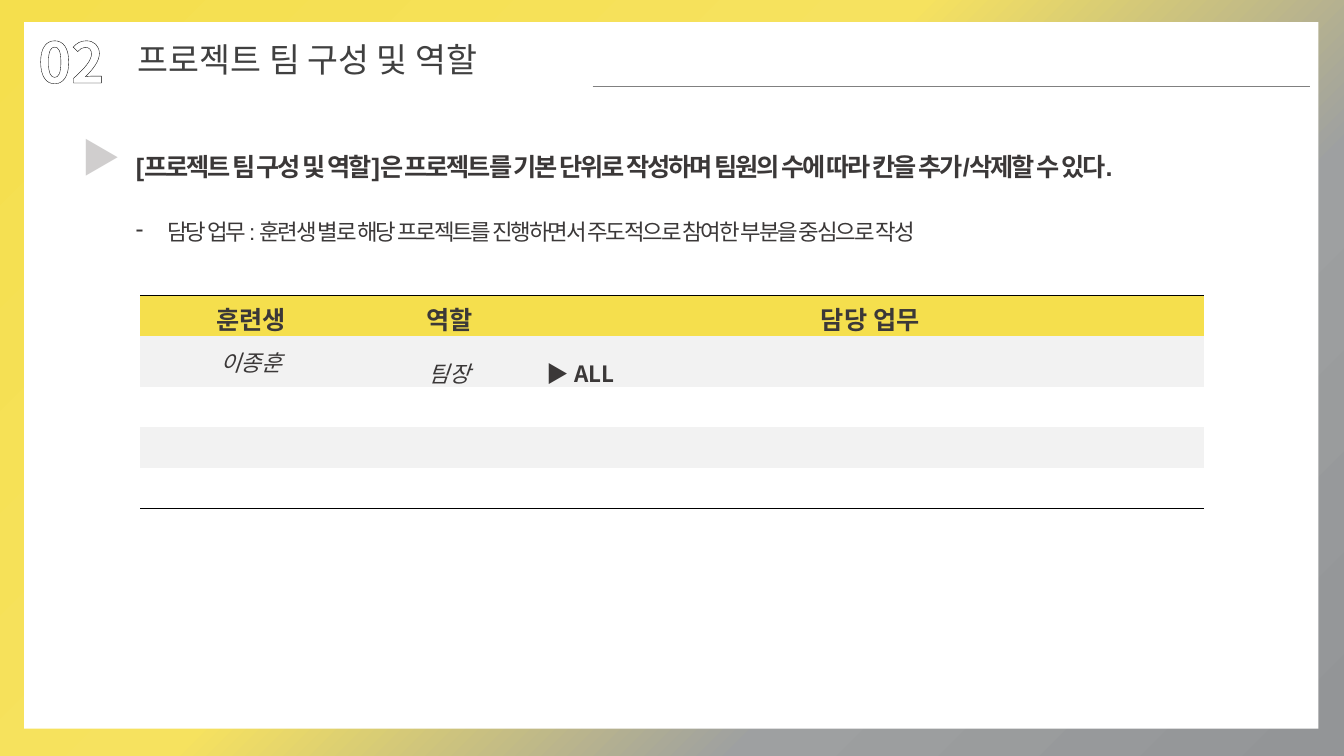
"""Build the project team and roles slide."""
import pptx
import pptx.dml.color
import pptx.enum.dml
import pptx.enum.shapes
import pptx.enum.text
import pptx.oxml
import pptx.oxml.ns
import pptx.util
import lxml.etree

Pt = pptx.util.Pt
RGBColor = pptx.dml.color.RGBColor
qn = pptx.oxml.ns.qn
ALIGN = pptx.enum.text.PP_ALIGN
NAMESPACE = pptx.oxml.ns.nsdecls("a")

YELLOW = RGBColor(0xF5, 0xDF, 0x4D)
LIGHT_YELLOW = RGBColor(0xF6, 0xE2, 0x5F)
LIGHT_GRAY = RGBColor(0x9E, 0xA0, 0xA1)
GRAY = RGBColor(0x93, 0x95, 0x97)
WHITE = RGBColor(0xFF, 0xFF, 0xFF)
BLACK = RGBColor(0x00, 0x00, 0x00)
INK = RGBColor(0x3B, 0x38, 0x38)
TITLE_INK = RGBColor(0x40, 0x40, 0x40)
RULE_GRAY = RGBColor(0x80, 0x80, 0x80)
MARKER_GRAY = RGBColor(0xD0, 0xCE, 0xCE)
BAND_GRAY = RGBColor(0xF2, 0xF2, 0xF2)
NOTO = "Noto Sans CJK KR"


def set_font(font, name, size, color, bold=False, italic=False):
    font.name = name
    font.size = Pt(size)
    font.bold = bold
    font.italic = italic
    font.fill.solid()
    font.fill.fore_color.rgb = color


def add_text(left, top, width, height, text, name, size, color, bold=False, wrap=True):
    box = slide.shapes.add_textbox(Pt(left), Pt(top), Pt(width), Pt(height))
    box.text_frame.word_wrap = wrap
    box.text_frame.auto_size = pptx.enum.text.MSO_AUTO_SIZE.SHAPE_TO_FIT_TEXT
    paragraph = box.text_frame.paragraphs[0]
    paragraph.text = text
    set_font(paragraph.font, name, size, color, bold)
    return paragraph


presentation = pptx.Presentation()
presentation.slide_width = Pt(960)
presentation.slide_height = Pt(540)
slide = presentation.slides.add_slide(presentation.slide_layouts[6])

background = slide.background.fill
background.gradient()
gradient = slide.background._cSld.find(".//" + qn("a:gradFill"))
for child in list(gradient):
    gradient.remove(child)
stops = lxml.etree.SubElement(gradient, qn("a:gsLst"))
for position, color in ((0, YELLOW), (44, LIGHT_YELLOW), (71, LIGHT_GRAY), (100, GRAY)):
    stop = lxml.etree.SubElement(stops, qn("a:gs"), pos=str(position * 1000))
    lxml.etree.SubElement(stop, qn("a:srgbClr"), val=str(color))
lxml.etree.SubElement(gradient, qn("a:lin"), ang="2700000", scaled="0")

panel = slide.shapes.add_shape(
    pptx.enum.shapes.MSO_SHAPE.RECTANGLE, Pt(17.3), Pt(15.8), Pt(924.5), Pt(504.7))
panel.shadow.inherit = False
panel.fill.solid()
panel.fill.fore_color.rgb = WHITE
panel.line.fill.background()

number = add_text(20.2, 15.8, 91.4, 55.4, "02", NOTO, 40, INK, bold=True)
marker = add_text(51.1, 91.4, 39.6, 41, "▶", NOTO, 28, MARKER_GRAY, bold=True)
for paragraph, front, back in ((number, INK, WHITE), (marker, GRAY, MARKER_GRAY)):
    fill = paragraph.runs[0].font.fill
    fill.patterned()
    fill.pattern = pptx.enum.dml.MSO_PATTERN.DARK_UPWARD_DIAGONAL
    fill.fore_color.rgb = front
    fill.back_color.rgb = back
outline = pptx.oxml.parse_xml(
    f'<a:ln {NAMESPACE} w="15875"><a:solidFill><a:srgbClr val="{BLACK}"/></a:solidFill></a:ln>')
number.runs[0].font._element.insert(0, outline)

rule = slide.shapes.add_connector(
    pptx.enum.shapes.MSO_CONNECTOR.STRAIGHT, Pt(423.4), Pt(61.9), Pt(936), Pt(61.9))
rule.line.color.rgb = RULE_GRAY
rule.line.width = Pt(1)
lxml.etree.SubElement(rule._element.spPr, qn("a:effectLst"))

add_text(91.4, 24.5, 305.3, 36, "프로젝트 팀 구성 및 역할", NOTO, 24, TITLE_INK, wrap=False)

guideline = add_text(
    90, 93.6, 803.5, 40.3,
    "[프로젝트 팀 구성 및 역할]은 프로젝트를 기본 단위로 작성하며 팀원의 수에 따라 칸을 추가/삭제할 수 있다.",
    "Arial", 18, INK, bold=True)
guideline.line_spacing = 1.5
duty_note = add_text(
    90, 152.6, 708.5, 26.6,
    "담당 업무 : 훈련생 별로 해당 프로젝트를 진행하면서 주도적으로 참여한 부분을 중심으로 작성",
    "Arial", 16, INK)
for paragraph in (guideline, duty_note):
    paragraph.font._element.set("spc", "-150")
bullet_properties = duty_note._p.get_or_add_pPr()
bullet_properties.set("marL", str(Pt(22.5)))
bullet_properties.set("indent", str(-Pt(22.5)))
bullet_properties.insert(0, pptx.oxml.parse_xml(f'<a:buChar {NAMESPACE} char="-"/>'))

COLUMN_WIDTHS = (158.6, 124.9, 476.2)
ROW_HEIGHTS = (28.5, 36.5, 29, 29, 28.5)
ROW_FILLS = (YELLOW, BAND_GRAY, WHITE, BAND_GRAY, WHITE)
EDGE_TAGS = {0: "a:lnT", 4: "a:lnB"}
CELL_TEXTS = (("훈련생", "역할", "담당 업무"), ("이종훈", "팀장", "▶ ALL"))

table = slide.shapes.add_table(
    5, 3, Pt(100), Pt(211), Pt(sum(COLUMN_WIDTHS)), Pt(sum(ROW_HEIGHTS))).table
for column, width in zip(table.columns, COLUMN_WIDTHS):
    column.width = Pt(width)
for row_index, row in enumerate(table.rows):
    row.height = Pt(ROW_HEIGHTS[row_index])
    for cell in row.cells:
        cell.vertical_anchor = pptx.enum.text.MSO_ANCHOR.MIDDLE
        cell.fill.solid()
        cell.fill.fore_color.rgb = ROW_FILLS[row_index]
        properties = cell._tc.get_or_add_tcPr()
        for position, tag in enumerate(("a:lnL", "a:lnR", "a:lnT", "a:lnB")):
            border = lxml.etree.Element(qn(tag), w=str(Pt(0.75)))
            if tag == EDGE_TAGS.get(row_index):
                solid = lxml.etree.SubElement(border, qn("a:solidFill"))
                lxml.etree.SubElement(solid, qn("a:srgbClr"), val=str(BLACK))
            else:
                lxml.etree.SubElement(border, qn("a:noFill"))
            properties.insert(position, border)

for row_index, texts in enumerate(CELL_TEXTS):
    for column_index, text in enumerate(texts):
        paragraph = table.cell(row_index, column_index).text_frame.paragraphs[0]
        paragraph.text = text
        is_header = row_index == 0
        is_duty = row_index == 1 and column_index == 2
        paragraph.alignment = ALIGN.LEFT if is_duty else ALIGN.CENTER
        if row_index == 1 and column_index > 0:
            paragraph.line_spacing = 1.5
        set_font(paragraph.font, NOTO if is_duty else "Calibri", 18 if is_header else 16,
                 INK, bold=is_header or is_duty, italic=not (is_header or is_duty))

presentation.save("out.pptx")
